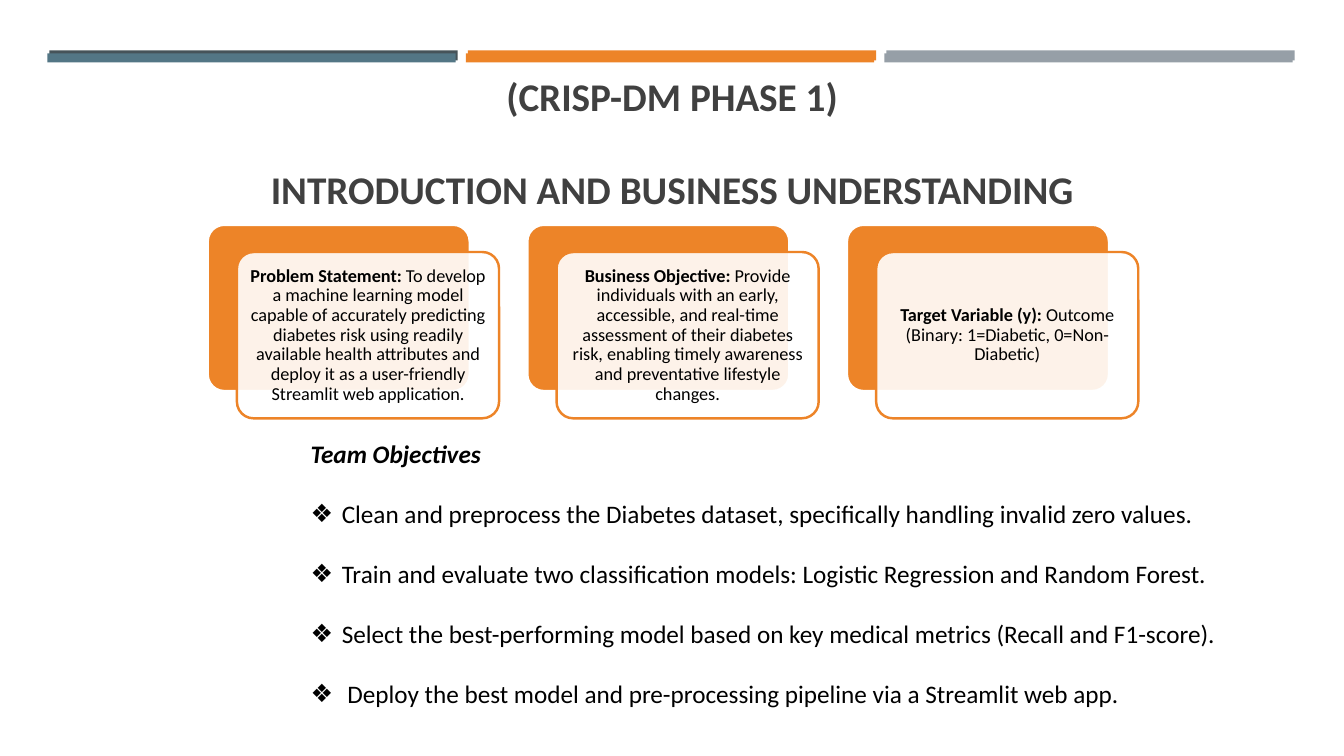
from pptx import Presentation
from pptx.dml.color import RGBColor
from pptx.enum.shapes import MSO_SHAPE
from pptx.enum.text import MSO_ANCHOR, MSO_AUTO_SIZE, PP_ALIGN
from pptx.oxml.ns import qn
from pptx.util import Pt
from lxml.etree import SubElement

SCALE = 9144  # EMU per px, 100 px to the inch

BLACK = RGBColor(0x00, 0x00, 0x00)
WHITE = RGBColor(0xFF, 0xFF, 0xFF)
INK = RGBColor(0x40, 0x40, 0x40)
SLATE = RGBColor(0x46, 0x53, 0x59)
TEAL = RGBColor(0x53, 0x76, 0x85)
ORANGE = RGBColor(0xED, 0x84, 0x28)
GREY = RGBColor(0x96, 0x9F, 0xA7)

TITLE = ["(CRISP-DM PHASE 1)", "INTRODUCTION AND BUSINESS UNDERSTANDING"]
CARDS = [
    ("Problem Statement:",
     " To develop a machine learning model capable of accurately predicting "
     "diabetes risk using readily available health attributes and deploy it "
     "as a user-friendly Streamlit web application."),
    ("Business Objective:",
     " Provide individuals with an early, accessible, and real-time "
     "assessment of their diabetes risk, enabling timely awareness and "
     "preventative lifestyle changes."),
    ("Target Variable (y):", " Outcome (Binary: 1=Diabetic, 0=Non-Diabetic)"),
]
GOALS = [
    "Clean and preprocess the Diabetes dataset, specifically handling invalid zero values.",
    "Train and evaluate two classification models: Logistic Regression and Random Forest.",
    "Select the best-performing model based on key medical metrics (Recall and F1-score).",
    " Deploy the best model and pre-processing pipeline via a Streamlit web app.",
]


def px(n):
    return n * SCALE


class Deck:
    font = "Calibri"

    def __init__(self, wide, high):
        self.prs = Presentation()
        self.prs.slide_width, self.prs.slide_height = px(wide), px(high)
        self.slide = self.prs.slides.add_slide(self.prs.slide_layouts[1])

    def style(self, para, size, color, bold=None, italic=None):
        font = para.font
        font.name, font.size = self.font, Pt(size)
        font.bold, font.italic = bold, italic
        font.color.rgb = color

    def place(self, shape, x, y, w, h):
        shape.left, shape.top = px(x), px(y)
        shape.width, shape.height = px(w), px(h)

    def box(self, kind, x, y, w, h, fill, line=None):
        shape = self.slide.shapes.add_shape(kind, px(x), px(y), px(w), px(h))
        shape.shadow.inherit = False
        shape.fill.solid()
        shape.fill.fore_color.rgb = fill
        if line is None:
            shape.line.fill.background()
        else:
            shape.line.color.rgb = line
            shape.line.width = Pt(1.75)
        return shape

    def bar(self, x, y, h, fill):
        self.box(MSO_SHAPE.RECTANGLE, x, y, 405, h, fill)

    def panel(self, x, y, fill, line):
        shape = self.box(MSO_SHAPE.ROUNDED_RECTANGLE, x, y, 260, 165, fill, line)
        shape.adjustments[0] = 0.1
        return shape

    def card(self, x, y, head, text):
        self.panel(x, y, ORANGE, WHITE)
        front = self.panel(x + 29, y + 27, WHITE, ORANGE)
        color = front.element.xpath("./p:spPr/a:solidFill/a:srgbClr")[0]
        SubElement(color, qn("a:alpha"), val="90000")
        frame = front.text_frame
        frame.word_wrap = True
        frame.vertical_anchor = MSO_ANCHOR.MIDDLE
        frame.margin_left = frame.margin_right = px(5)
        frame.margin_top = frame.margin_bottom = px(5)
        para = frame.paragraphs[0]
        para.alignment = PP_ALIGN.CENTER
        para.line_spacing = 0.9
        self.style(para, 13, BLACK)
        for words, bold in ((head, True), (text, False)):
            run = para.add_run()
            run.text = words
            run.font.bold = bold

    def title(self, lines, x, y, w, h):
        shape = self.slide.shapes.title
        self.place(shape, x, y, w, h)
        frame = shape.text_frame
        frame.auto_size = MSO_AUTO_SIZE.NONE
        frame.vertical_anchor = MSO_ANCHOR.BOTTOM
        frame.margin_bottom = px(49)
        frame.text = "\n".join(lines)
        for i, para in enumerate(frame.paragraphs):
            para.alignment = PP_ALIGN.CENTER
            para.space_before = Pt(33 * i)
            self.style(para, 28, INK, bold=True)

    def goals(self, head, items, x, y, w, h):
        shape = self.slide.placeholders[1]
        self.place(shape, x, y, w, h)
        frame = shape.text_frame
        frame.auto_size = MSO_AUTO_SIZE.NONE
        frame.text = "\n".join([head, *items])
        for i, para in enumerate(frame.paragraphs):
            first = i == 0
            self.style(para, 18, BLACK, bold=first, italic=first)
            para.space_before = Pt(0 if first else 21.25)
            props = para._p.get_or_add_pPr()
            dent = 0 if first else px(31)
            props.set("marL", str(dent))
            props.set("indent", str(-dent))
            mark = {} if first else {"char": "❖"}
            tag = "a:buNone" if first else "a:buChar"
            bullet = SubElement(props, qn(tag), **mark)
            props.find(qn("a:defRPr")).addprevious(bullet)


def main():
    deck = Deck(1333, 750)

    # Accent bars: a back row and a front row
    for x, y, h, fills in ((49, 50, 10, (SLATE, ORANGE, GREY)),
                           (47, 53, 9, (TEAL, ORANGE, GREY))):
        for i, fill in enumerate(fills):
            deck.bar(x + 415 * i, y, h, fill)

    # Title
    deck.title(TITLE, 50, 68, 1233, 192)

    # Cards
    for i, (head, text) in enumerate(CARDS):
        deck.card(206 + 317 * i, 223, head, text)

    # Team objectives
    deck.goals("Team Objectives", GOALS, 298, 430, 985, 283)

    deck.prs.save("out.pptx")


if __name__ == "__main__":
    main()
